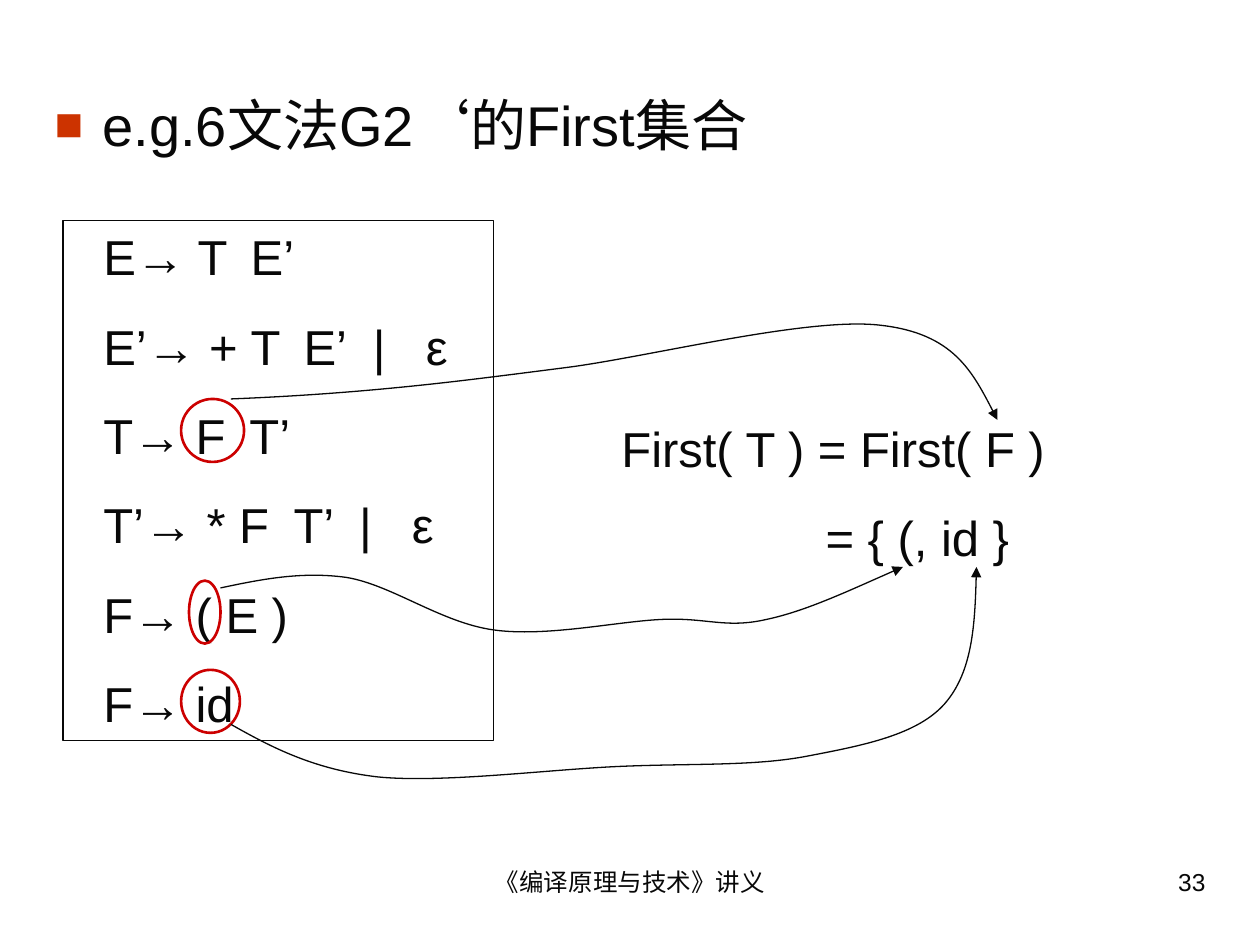
import pptx
import pptx.util
import pptx.dml.color
import pptx.enum.shapes
import pptx.enum.text
import pptx.oxml
import pptx.oxml.ns
from lxml import etree

CELL = pptx.util.Inches(1) // 12  # grid of 120 columns by 90 rows
INK, RED, MARK = "080808", "CC0000", "CC3300"
ALIGN = pptx.enum.text.PP_ALIGN
FORM = pptx.enum.shapes.MSO_SHAPE
qn = pptx.oxml.ns.qn

# Each rule with the tab stops, in cells, of its later symbols
RULES = [
    ("E→ T\tE’", [14.04]),
    ("E’→ + T\tE’\t|\tε", [19.08, 25.68, 30.72]),
    ("T→ F\tT’", [13.92]),
    ("T’→ * F\tT’\t|\tε", [18.12, 24.36, 29.4]),
    ("F→ ( E )", []),
    ("F→ id", []),
]
# Rings relative to the box of rules
RINGS = [(11.25, 17, 6, 6), (11.25, 42.8, 5.6, 6), (12, 34.3, 3, 6)]
# Start point, then two handles and an end for each bend
CURVES = [
    [(22, 38), (26.9, 37.8), (31.7, 37.5), (37, 37),
     (42.3, 36.5), (46.2, 36), (54, 35),
     (61.8, 34), (77.2, 30.1), (84, 31),
     (90.8, 31.8), (92.9, 35.9), (95, 40)],
    [(21, 56), (24.8, 55.2), (28.7, 54.4), (33, 55),
     (37.3, 55.7), (42, 59.3), (47, 60),
     (52, 60.7), (58.7, 59.2), (63, 59),
     (67.3, 58.8), (69.1, 59.9), (73, 59),
     (76.8, 58.2), (81.4, 56), (86, 54)],
    [(22, 69), (25.9, 71.2), (29.9, 73.3), (36, 74),
     (42.1, 74.6), (52.2, 73.3), (59, 73),
     (65.9, 72.7), (71.9, 73), (77, 72),
     (82.2, 71), (87.4, 70), (90, 67),
     (92.6, 64), (92.9, 59), (93, 54)],
]


def cells(*nums):
    return [round(n * CELL) for n in nums]


def color(code):
    return pptx.dml.color.RGBColor.from_string(code)


def outline(shape, code, width):
    shape.shadow.inherit = False
    shape.fill.background()
    shape.line.color.rgb = color(code)
    shape.line.width = pptx.util.Pt(width)


def style(para, size, align=ALIGN.LEFT, before=0):
    para.alignment = align
    para.space_before = pptx.util.Pt(before)
    para.font.name = "Arial"
    para.font.size = pptx.util.Pt(size)
    para.font.color.rgb = color(INK)


def lines(frame, texts):
    frame.word_wrap = True
    frame.vertical_anchor = pptx.enum.text.MSO_ANCHOR.TOP
    frame.text = "\n".join(texts)
    return frame.paragraphs


def heading(slide, box, text):
    body = slide.placeholders[1]
    body.left, body.top, body.width, body.height = cells(*box)
    body.text_frame.auto_size = pptx.enum.text.MSO_AUTO_SIZE.NONE
    para = lines(body.text_frame, [text])[0]
    props = para._p.get_or_add_pPr()
    hang = pptx.util.Inches(0.38)
    props.set("marL", str(hang))
    props.set("indent", str(-hang))
    tint = etree.SubElement(props, qn("a:buClr"))
    etree.SubElement(tint, qn("a:srgbClr"), val=MARK)
    etree.SubElement(props, qn("a:buSzPct"), val="85000")
    etree.SubElement(props, qn("a:buFont"), typeface="Arial")
    etree.SubElement(props, qn("a:buChar"), char="■")
    style(para, 32)


def grammar(slide, box):
    rect = slide.shapes.add_shape(FORM.RECTANGLE, *cells(*box))
    outline(rect, INK, 0.75)
    frame = rect.text_frame
    frame.margin_left = pptx.util.Inches(0.32)
    paras = lines(frame, [text for text, _ in RULES])
    for row, (para, (_, stops)) in enumerate(zip(paras, RULES)):
        if stops:
            tabs = etree.SubElement(para._p.get_or_add_pPr(), qn("a:tabLst"))
            for stop in cells(*stops):
                etree.SubElement(tabs, qn("a:tab"), pos=str(stop), algn="l")
        style(para, 28, before=17.5 if row else 0)
    for x, y, w, h in RINGS:
        ring = slide.shapes.add_shape(
            FORM.OVAL, *cells(box[0] + x, box[1] + y, w, h))
        outline(ring, RED, 1.5)


def result(slide, box):
    frame = slide.shapes.add_textbox(*cells(*box)).text_frame
    first, last = lines(frame, ["First( T ) = First( F )", "= { (, id }"])
    last._p.get_or_add_pPr().set("marL", str(pptx.util.Inches(1.62)))
    style(first, 28)
    style(last, 28, before=17.5)


def curve(slide, points):
    start, *rest = [cells(*point) for point in points]
    pen = slide.shapes.build_freeform(*start)
    pen.add_line_segments(rest, close=False)
    shape = pen.convert_to_shape()
    outline(shape, INK, 0.75)
    # Turn every three line points into one cubic bend
    steps = list(shape._element.iter(qn("a:lnTo")))
    for i in range(0, len(steps), 3):
        bend = etree.Element(qn("a:cubicBezTo"))
        steps[i].addprevious(bend)
        for step in steps[i:i + 3]:
            bend.append(step[0])
            step.getparent().remove(step)
    etree.SubElement(shape.line._get_or_add_ln(), qn("a:tailEnd"),
                     type="triangle")


def footer(slide, box, text, align):
    frame = slide.shapes.add_textbox(*cells(*box)).text_frame
    style(lines(frame, [text])[0], 14, align)


def main():
    deck = pptx.Presentation()
    deck.slide_width, deck.slide_height = cells(120, 90)
    slide = deck.slides.add_slide(deck.slide_layouts[1])
    title = slide.shapes.title._element
    title.getparent().remove(title)

    heading(slide, (4, 8, 112, 8), "e.g.6文法G2‘的First集合")
    grammar(slide, (6, 21, 41, 49.5))
    result(slide, (58, 39.25, 52, 15.4))
    for points in CURVES:
        curve(slide, points)
    footer(slide, (41, 82, 38, 6.25), "《编译原理与技术》讲义", ALIGN.CENTER)
    footer(slide, (86, 82, 30, 6.25), "33", ALIGN.RIGHT)
    deck.save("out.pptx")


if __name__ == "__main__":
    main()
